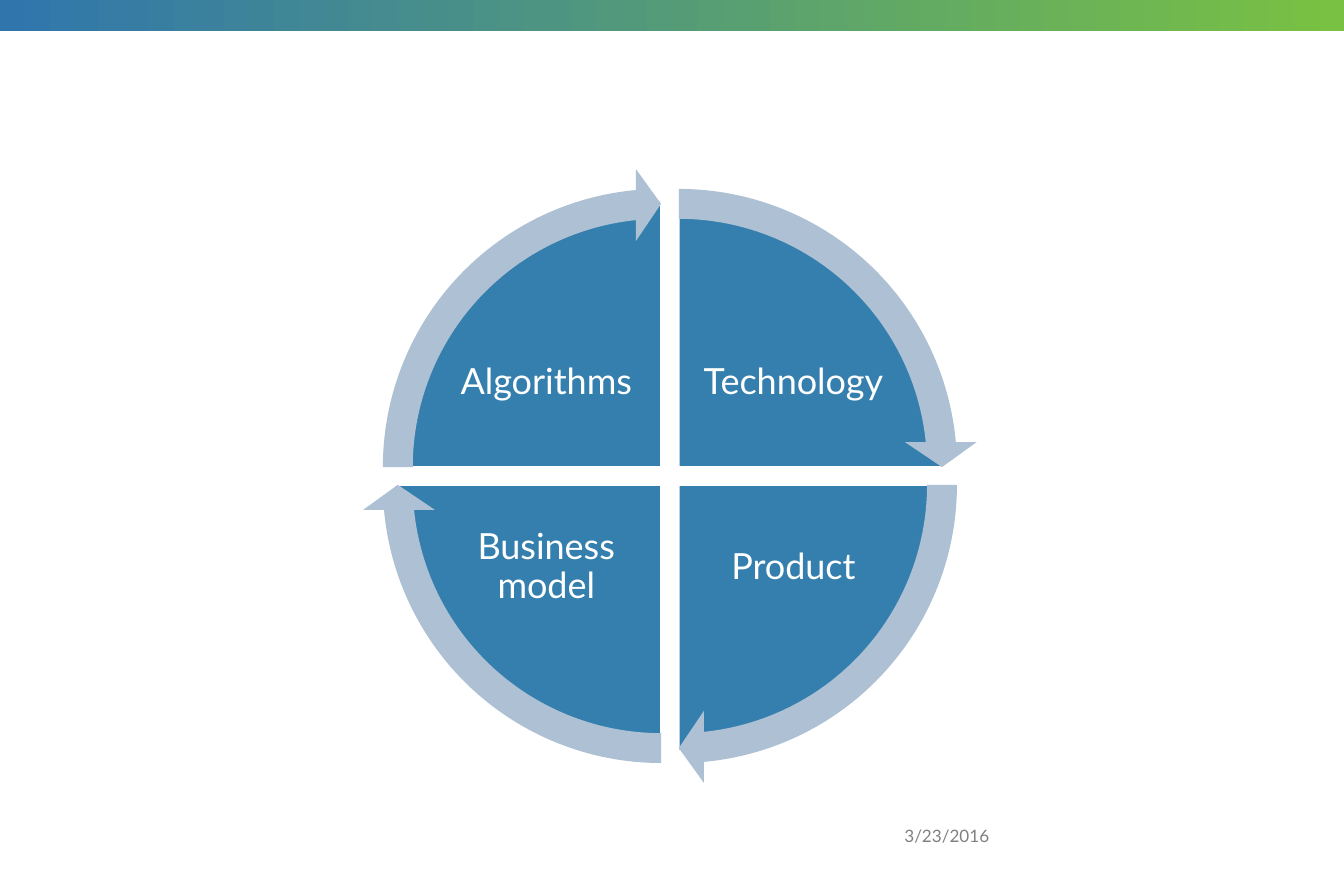
from pptx import Presentation
from pptx.dml.color import RGBColor
from pptx.enum.shapes import MSO_SHAPE
from pptx.enum.text import MSO_ANCHOR, PP_ALIGN
from pptx.util import Inches, Pt

RECTANGLE, PIE, ARROW = MSO_SHAPE.RECTANGLE, MSO_SHAPE.PIE, MSO_SHAPE.CIRCULAR_ARROW
CENTER, RIGHT = PP_ALIGN.CENTER, PP_ALIGN.RIGHT
MIDDLE = MSO_ANCHOR.MIDDLE

COLORS = {
    "bar_start": "3076AD",
    "bar_end": "79C142",
    "quadrant": "347FAD",
    "arrow": "AEC0D3",
    "white": "FFFFFF",
    "date": "808080",
}
FONT = "Lato"
DATE = "3/23/2016"
QUADRANTS = [
    ("Technology", 1, 0),
    ("Product", 1, 1),
    ("Business model", 0, 1),
    ("Algorithms", 0, 0),
]

SLIDE_WIDTH, SLIDE_HEIGHT = 9.84, 6.56
PIE_LEFT, PIE_TOP, PIE_SIZE, GAP = 2.89, 1.47, 3.9, 0.13
ARROW_SIZE = 4.38
ARROW_OFFSET = (ARROW_SIZE - PIE_SIZE) / 2
LABEL_LEFT, LABEL_TOP, LABEL_WIDTH, LABEL_HEIGHT = 3.28, 2.27, 1.44, 1.07
LABEL_STEP_X, LABEL_STEP_Y = 1.81, 1.35
QUARTER, FULL_TURN = 54, 216
ARROW_SWEEP = 50.72


def color(name):
    return RGBColor.from_string(COLORS[name])


def add_shape(shapes, kind, left, top, width, height, fill=None, line=None):
    shape = shapes.add_shape(kind, Inches(left), Inches(top), Inches(width), Inches(height))
    shape.shadow.inherit = False
    if fill:
        shape.fill.solid()
        shape.fill.fore_color.rgb = color(fill)
    if line:
        shape.line.color.rgb = color(line)
        shape.line.width = Pt(1)
    else:
        shape.line.fill.background()
    return shape


def add_text(shapes, text, left, top, width, height, *, size, font_color,
             align, inset_x=0.1, inset_y=0.05, line_spacing=1.0):
    box = shapes.add_textbox(Inches(left), Inches(top), Inches(width), Inches(height))
    frame = box.text_frame
    frame.word_wrap = True
    frame.vertical_anchor = MIDDLE
    frame.margin_left = frame.margin_right = Inches(inset_x)
    frame.margin_top = frame.margin_bottom = Inches(inset_y)
    paragraph = frame.paragraphs[0]
    paragraph.alignment = align
    paragraph.line_spacing = line_spacing
    run = paragraph.add_run()
    run.text = text
    run.font.name = FONT
    run.font.size = Pt(size)
    run.font.color.rgb = color(font_color)


def set_adjustments(shape, values):
    for index, value in enumerate(values):
        shape.adjustments[index] = value


def add_top_bar(shapes):
    bar = add_shape(shapes, RECTANGLE, 0, 0, SLIDE_WIDTH, 0.23)
    bar.fill.gradient()
    bar.fill.gradient_angle = 0
    for stop, name in zip(bar.fill.gradient_stops, ("bar_start", "bar_end")):
        stop.color.rgb = color(name)


def add_cycle(shapes):
    arrows = []
    for index, (label, column, row) in enumerate(QUADRANTS):
        left, top = PIE_LEFT + column * GAP, PIE_TOP + row * GAP
        start = (index + 3) * QUARTER % FULL_TURN
        end = (start + QUARTER) % FULL_TURN
        pie = add_shape(shapes, PIE, left, top, PIE_SIZE, PIE_SIZE, "quadrant", "white")
        set_adjustments(pie, (start, end))
        add_text(shapes, label, LABEL_LEFT + column * LABEL_STEP_X,
                 LABEL_TOP + row * LABEL_STEP_Y, LABEL_WIDTH, LABEL_HEIGHT,
                 size=19, font_color="white", align=CENTER,
                 inset_x=0.03, inset_y=0.03, line_spacing=0.9)
        arrows.append((left - ARROW_OFFSET, top - ARROW_OFFSET, start))
    for left, top, start in arrows:
        arrow = add_shape(shapes, ARROW, left, top, ARROW_SIZE, ARROW_SIZE, "arrow")
        set_adjustments(arrow, (0.05, 3.28, start + ARROW_SWEEP, start, 0.06))


def main():
    presentation = Presentation()
    presentation.slide_width = Inches(SLIDE_WIDTH)
    presentation.slide_height = Inches(SLIDE_HEIGHT)
    slide = presentation.slides.add_slide(presentation.slide_layouts[6])
    add_top_bar(slide.shapes)
    add_text(slide.shapes, DATE, 6.46, 5.94, 0.88, 0.35,
             size=9, font_color="date", align=RIGHT)
    add_cycle(slide.shapes.add_group_shape().shapes)
    presentation.save("out.pptx")


if __name__ == "__main__":
    main()
